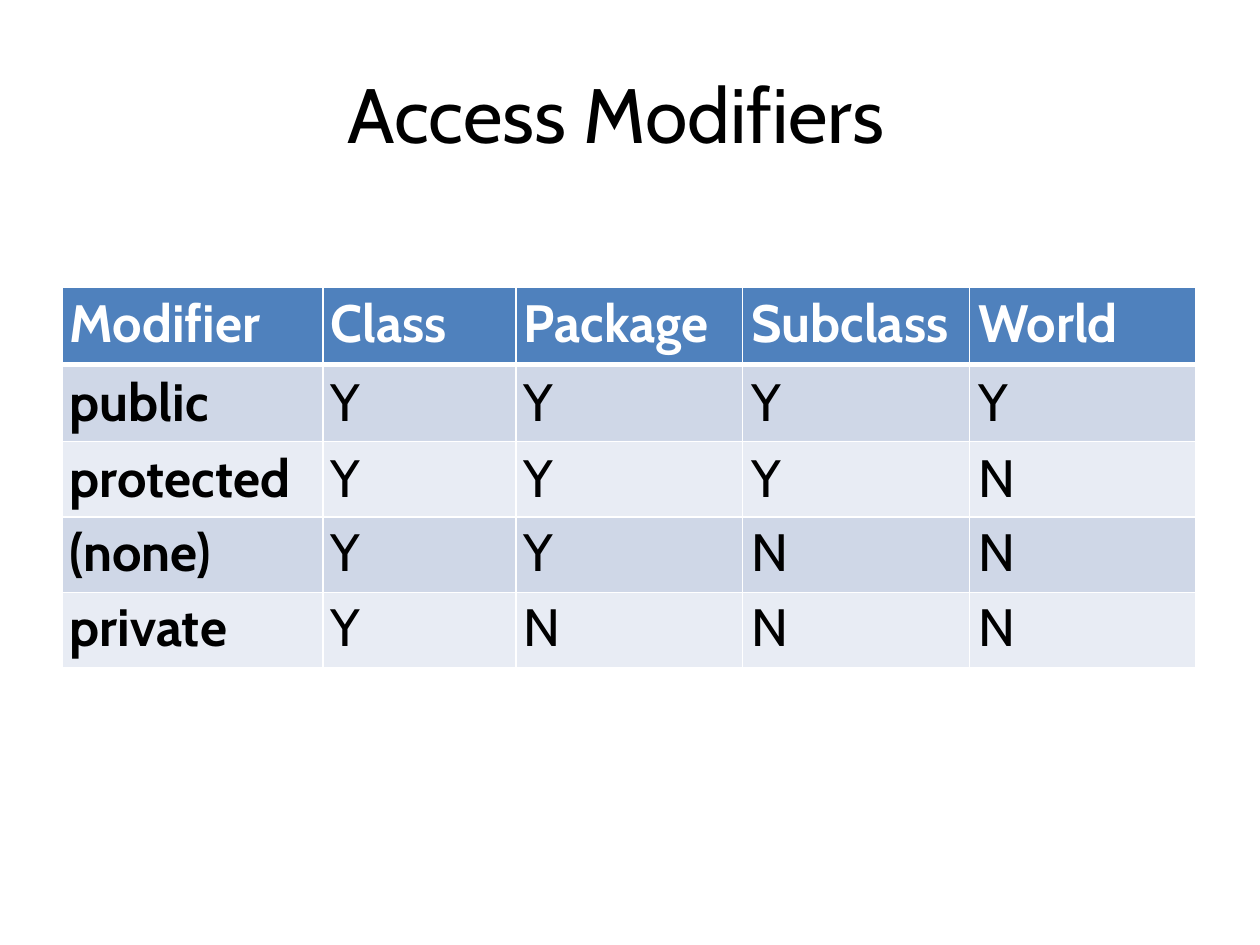
import pptx
import pptx.dml.color
import pptx.enum.text
import pptx.oxml
import pptx.oxml.ns
import pptx.util

Cm = pptx.util.Cm
Pt = pptx.util.Pt


def color(code):
    return pptx.dml.color.RGBColor.from_string(code)


class Deck:
    font = "Cabin"
    ink = "000000"
    white = "FFFFFF"
    head = "4F81BD"
    bands = ("CFD7E7", "E8ECF4")

    def __init__(self, wide, high):
        self.prs = pptx.Presentation()
        self.prs.slide_width, self.prs.slide_height = Cm(wide), Cm(high)
        self.slide = self.prs.slides.add_slide(self.prs.slide_layouts[6])

    def label(self, frame, text, size, tint, bold=False):
        frame.text = text
        for run in frame.paragraphs[0].runs:
            run.font.name = self.font
            run.font.size = Pt(size)
            run.font.bold = bold
            run.font.color.rgb = color(tint)

    def title(self, text, left, top, wide, high):
        box = self.slide.shapes.add_textbox(Cm(left), Cm(top), Cm(wide), Cm(high))
        frame = box.text_frame
        frame.word_wrap = True
        frame.margin_left = frame.margin_right = frame.margin_bottom = 0
        frame.margin_top = Cm(0.05)
        self.label(frame, text, 44, self.ink)

    def edge(self, cell, side, width):
        line = pptx.oxml.parse_xml(
            f'<a:ln{side} {pptx.oxml.ns.nsdecls("a")} w="{Pt(width)}">'
            f'<a:solidFill><a:srgbClr val="{self.white}"/></a:solidFill>'
            f'</a:ln{side}>')
        cell._tc.get_or_add_tcPr().append(line)

    def cell(self, cell, text, row, col, pad):
        # Borders come before the fill; a thick rule parts head and body
        for side in "LRTB":
            thick = (row, side) in ((0, "B"), (1, "T"))
            self.edge(cell, side, 3 if thick else 1)
        cell.fill.solid()
        cell.fill.fore_color.rgb = color(
            self.bands[(row - 1) % 2] if row else self.head)
        cell.margin_left = Cm(0.16 if col < 3 else 0.18)
        cell.margin_right = cell.margin_bottom = 0
        cell.margin_top = Cm(pad)
        cell.vertical_anchor = pptx.enum.text.MSO_ANCHOR.TOP
        self.label(cell.text_frame, text, 30, self.ink if row else self.white,
                   bold=row == 0 or col == 0)

    def table(self, data, left, top, cols, rows, pads):
        grid = self.slide.shapes.add_table(
            len(rows), len(cols), Cm(left), Cm(top),
            Cm(sum(cols)), Cm(sum(rows))).table
        for col, wide in zip(grid.columns, cols):
            col.width = Cm(wide)
        for row, high in zip(grid.rows, rows):
            row.height = Cm(high)
        for r, (line, pad) in enumerate(zip(data, pads)):
            for c, text in enumerate(line):
                self.cell(grid.cell(r, c), text, r, c, pad)


def main():
    deck = Deck(25.4, 19.05)

    # Heading
    deck.title("Access Modifiers", 7.01, 1.3, 11.43, 1.93)

    # Who may see a member, by modifier
    data = [
        ("Modifier", "Class", "Package", "Subclass", "World"),
        ("public", *"YYYY"),
        ("protected", *"YYYN"),
        ("(none)", *"YYNN"),
        ("private", *"YNNN"),
    ]
    deck.table(data, 1.25, 5.8,
               cols=[5.26, 3.89] + [4.57] * 3,
               rows=[1.55] * 2 + [1.52] * 3,
               pads=[0.08, 0.13, 0.1, 0.08, 0.08])

    deck.prs.save("out.pptx")


if __name__ == "__main__":
    main()
